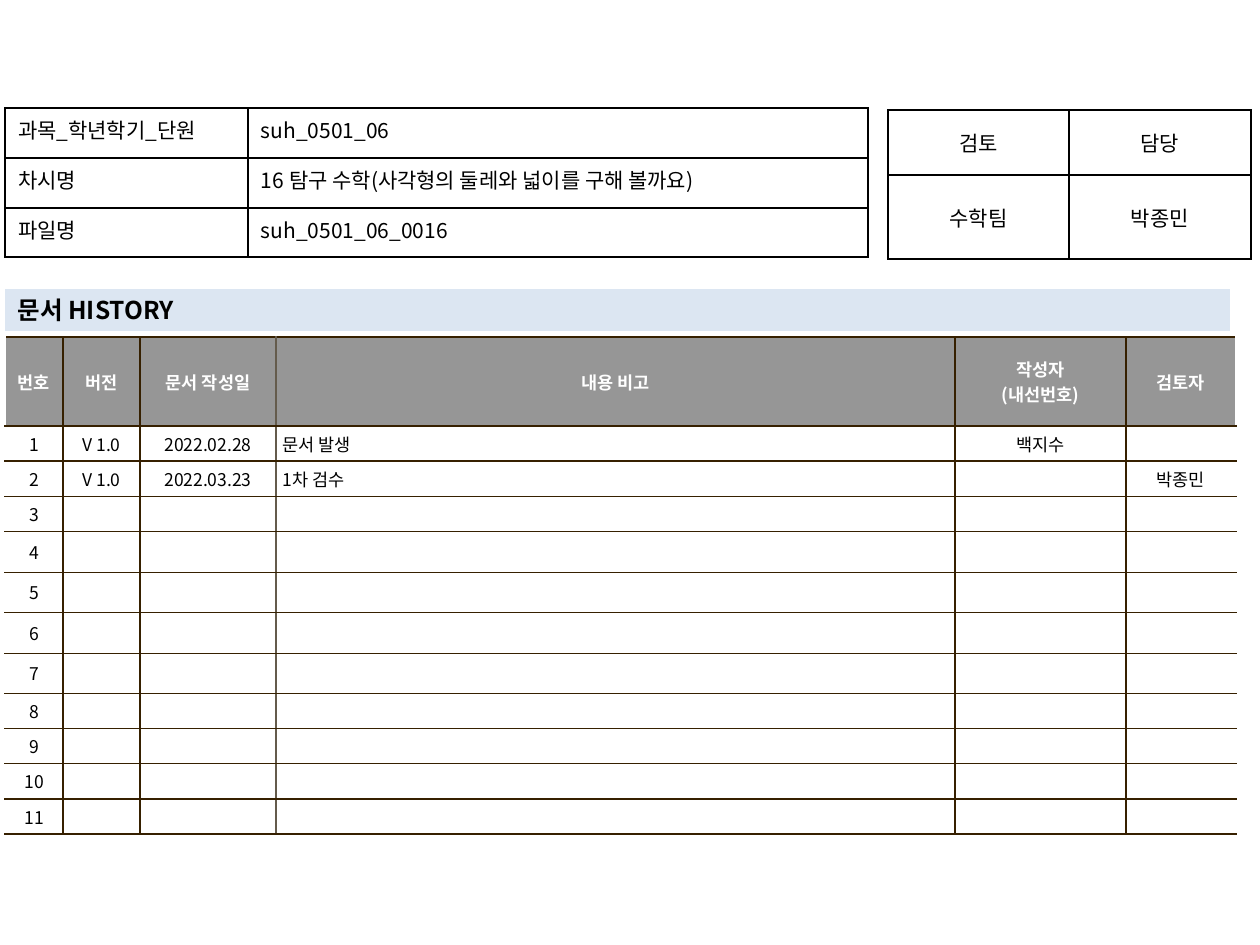
import pptx
import pptx.dml.color
import pptx.enum.text
import pptx.oxml.ns
import pptx.util
from lxml import etree

SCALE = 914400 // 126
FONT = "Noto Sans CJK KR"
COLORS = {
    "text": "000000",
    "light": "FFFFFF",
    "head": "969696",
    "band": "DCE6F2",
    "rule": "362000",
    "soft": "645B4C",
}
ALIGN = pptx.enum.text.PP_ALIGN
MIDDLE = pptx.enum.text.MSO_ANCHOR.MIDDLE
TOP = pptx.enum.text.MSO_ANCHOR.TOP
qn = pptx.oxml.ns.qn


def px(count):
    return pptx.util.Emu(count * SCALE)


def rgb(name):
    return pptx.dml.color.RGBColor.from_string(COLORS[name])


def style(frame, size, color="text", bold=False, align=ALIGN.LEFT):
    for para in frame.paragraphs:
        para.alignment = align
        font = para.font
        font.size = pptx.util.Pt(size)
        font.bold = bold
        font.color.rgb = rgb(color)
        font.name = FONT
        etree.SubElement(font._rPr, qn("a:ea"), typeface=FONT)
        if not para.text:
            # An empty line keeps its height only through its end mark.
            para._p.get_or_add_endParaRPr().set("sz", str(size * 100))


def border(cell, sides):
    """Draw 1 pt lines; sides maps L, R, T, B (in that order) to colours."""
    props = cell._tc.get_or_add_tcPr()
    for spot, (side, color) in enumerate(sides.items()):
        line = etree.Element(qn(f"a:ln{side}"), w="12700")
        fill = etree.SubElement(line, qn("a:solidFill"))
        etree.SubElement(fill, qn("a:srgbClr"), val=COLORS[color])
        props.insert(spot, line)


def grid(slide, left, top, widths, heights, pad):
    """Add a plain table whose cells share one padding (x, y)."""
    frame = slide.shapes.add_table(
        len(heights), len(widths), px(left), px(top),
        px(sum(widths)), px(sum(heights)))
    table = frame.table
    table.first_row = table.horz_banding = False
    for col, width in zip(table.columns, widths):
        col.width = px(width)
    for row, height in zip(table.rows, heights):
        row.height = px(height)
    for cell in table.iter_cells():
        cell.margin_left = cell.margin_right = px(pad[0])
        cell.margin_top = cell.margin_bottom = px(pad[1])
    return table


def boxed(slide, left, top, widths, heights, rows, aligns, anchor):
    """Add an unfilled table with black lines all round."""
    table = grid(slide, left, top, widths, heights, (13, 6))
    for r, row in enumerate(rows):
        for c, text in enumerate(row):
            cell = table.cell(r, c)
            cell.text = text
            cell.vertical_anchor = anchor
            cell.fill.background()
            style(cell.text_frame, 12, align=aligns[c])
            border(cell, dict.fromkeys("LRTB", "text"))


def info(slide, left, top):
    rows = [
        ("과목_학년학기_단원", "suh_0501_06"),
        ("차시명", "16 탐구 수학(사각형의 둘레와 넓이를 구해 볼까요)"),
        ("파일명", "suh_0501_06_0016"),
    ]
    boxed(slide, left, top, [243, 620], [50, 50, 49], rows,
          [ALIGN.JUSTIFY, ALIGN.LEFT], TOP)


def review(slide, left, top):
    rows = [("검토", "담당"), ("수학팀", "박종민")]
    boxed(slide, left, top, [181, 182], [65, 84], rows,
          [ALIGN.CENTER] * 2, MIDDLE)


def heading(slide, left, top, width, height):
    title = slide.shapes.title
    title.left, title.top = px(left), px(top)
    title.width, title.height = px(width), px(height)
    title.fill.solid()
    title.fill.fore_color.rgb = rgb("band")
    frame = title.text_frame
    frame.text = "문서 HISTORY"
    frame.auto_size = pptx.enum.text.MSO_AUTO_SIZE.NONE
    frame.vertical_anchor = MIDDLE
    style(frame, 14, bold=True)


def history(slide, left, top):
    heads = ["번호", "버전", "문서 작성일", "내용 비고",
             "작성자\n(내선번호)", "검토자"]
    logs = [
        ["V 1.0", "2022.02.28", "문서 발생", "백지수", ""],
        ["V 1.0", "2022.03.23", "1차 검수", "", "박종민"],
    ]
    logs += [[""] * 5] * 9
    rows = [heads] + [[str(n), *log] for n, log in enumerate(logs, 1)]
    heights = [89] + [35] * 3 + [41, 40] * 2 + [35] * 4
    table = grid(slide, left, top, [58, 77, 136, 679, 171, 110],
                 heights, (7, 5))
    # Colours of the upright lines between columns; the outer sides are open.
    lines = [None, "rule", "rule", "soft", "rule", "rule", None]
    for r, row in enumerate(rows):
        head = r == 0
        for c, text in enumerate(row):
            cell = table.cell(r, c)
            cell.text = text
            cell.vertical_anchor = MIDDLE
            cell.fill.solid()
            cell.fill.fore_color.rgb = rgb("head" if head else "light")
            note = c == 3 and not head
            style(cell.text_frame, 10, "light" if head else "text", head,
                  ALIGN.LEFT if note else ALIGN.CENTER)
            sides = {"L": lines[c], "R": lines[c + 1],
                     "T": "rule", "B": "rule"}
            border(cell, {k: v for k, v in sides.items() if v})


def main():
    deck = pptx.Presentation()
    deck.slide_width, deck.slide_height = px(1260), px(945)
    slide = deck.slides.add_slide(deck.slide_layouts.get_by_name("Title Only"))
    info(slide, 5, 108)
    review(slide, 888, 110)
    heading(slide, 5, 289, 1225, 42)
    history(slide, 5, 337)
    deck.save("out.pptx")


if __name__ == "__main__":
    main()
